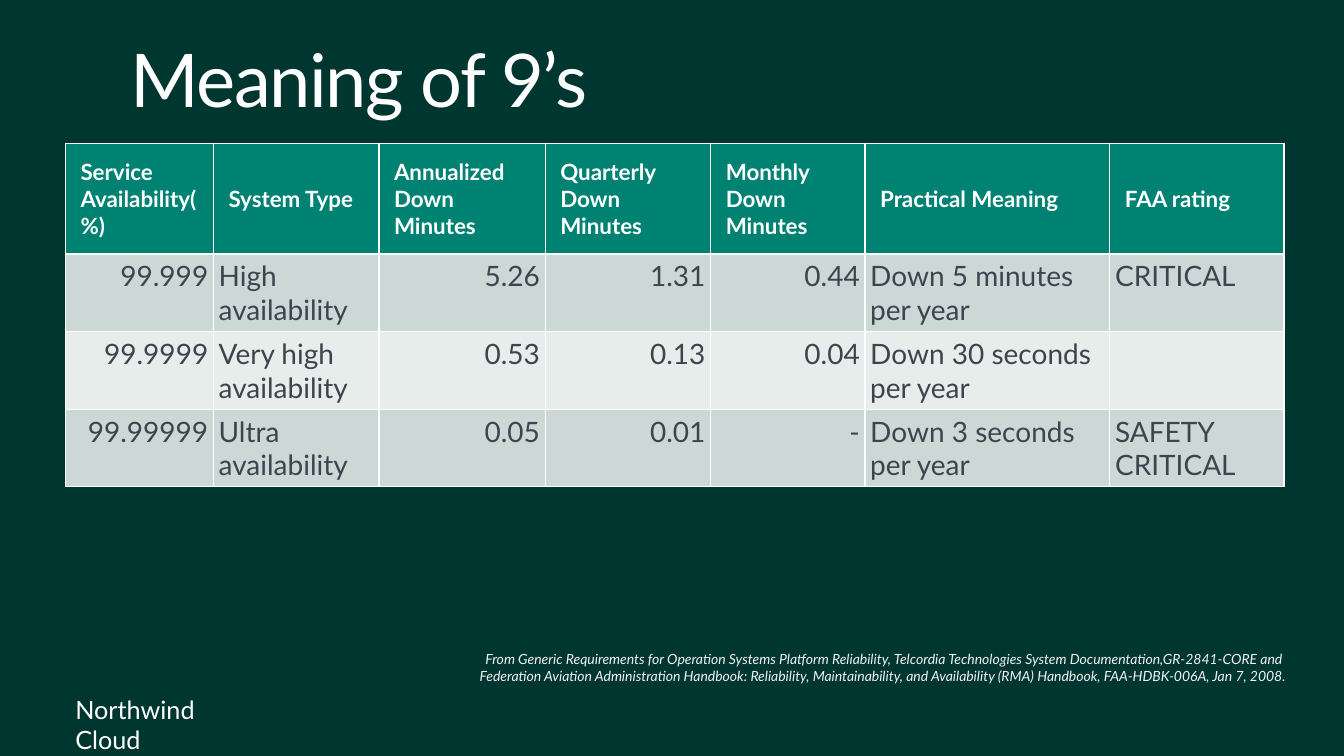
from pptx import Presentation
from pptx.dml.color import RGBColor
from pptx.enum.text import MSO_ANCHOR, PP_ALIGN
from pptx.util import Cm, Pt

HEADERS = ["Service Availability(%)", "System Type", "Annualized Down Minutes",
           "Quarterly Down Minutes", "Monthly Down Minutes",
           "Practical Meaning", "FAA rating"]
RATINGS = [
    ["99.999", "High availability", "5.26", "1.31", "0.44",
     "Down 5 minutes per year", "CRITICAL"],
    ["99.9999", "Very high availability", "0.53", "0.13", "0.04",
     "Down 30 seconds per year", ""],
    ["99.99999", "Ultra availability", "0.05", "0.01", "-",
     "Down 3 seconds per year", "SAFETY CRITICAL"],
]
COLUMN_WIDTHS = [3.73, 4.17, 4.19, 4.17, 3.89, 6.17, 4.39]
NUMBER_COLUMNS = {0, 2, 3, 4}
HEADER_HEIGHT, ROW_HEIGHT = 2.79, 1.94
SOURCES = [
    "From Generic Requirements for Operation Systems Platform Reliability, "
    "Telcordia Technologies System Documentation,GR-2841-CORE and ",
    "Federation Aviation Administration Handbook: Reliability, Maintainability, "
    "and Availability (RMA) Handbook, FAA-HDBK-006A, Jan 7, 2008.",
]


def color(hex_code):
    return RGBColor.from_string(hex_code)


def write(paragraph, text, size, ink="FFFFFF", bold=False, italic=False,
          align=PP_ALIGN.LEFT, line_spacing=None, tracking=None):
    paragraph.alignment = align
    if line_spacing:
        paragraph.line_spacing = line_spacing
    run = paragraph.add_run()
    run.text = text
    font = run.font
    font.name, font.size = "Lato", Pt(size)
    font.bold, font.italic = bold, italic
    font.color.rgb = color(ink)
    if tracking:
        run._r.get_or_add_rPr().set("spc", str(tracking))


class SlideBuilder:
    background = "003630"
    header_fill = "008272"
    band_fills = ["CCD8D5", "E7EDEB"]
    body_ink = "3C454F"

    def __init__(self, presentation):
        self.slide = presentation.slides.add_slide(presentation.slide_layouts[6])
        fill = self.slide.background.fill
        fill.solid()
        fill.fore_color.rgb = color(self.background)

    def text(self, lines, left, top, width, height, wrap=True, inset=0.25, **style):
        box = self.slide.shapes.add_textbox(Cm(left), Cm(top), Cm(width), Cm(height))
        frame = box.text_frame
        frame.word_wrap = wrap
        frame.margin_left = frame.margin_right = Cm(inset)
        for index, line in enumerate(lines):
            paragraph = frame.add_paragraph() if index else frame.paragraphs[0]
            write(paragraph, line, **style)

    def cell(self, cell, text, fill, inset, anchor, **style):
        cell.fill.solid()
        cell.fill.fore_color.rgb = color(fill)
        cell.margin_left = cell.margin_right = Cm(inset)
        cell.margin_top = cell.margin_bottom = Cm(inset)
        cell.vertical_anchor = anchor
        write(cell.text_frame.paragraphs[0], text, **style)

    def table(self, left, top, headers, rows):
        height = HEADER_HEIGHT + ROW_HEIGHT * len(rows)
        table = self.slide.shapes.add_table(
            len(rows) + 1, len(headers), Cm(left), Cm(top),
            Cm(sum(COLUMN_WIDTHS)), Cm(height)).table
        for index, width in enumerate(COLUMN_WIDTHS):
            table.columns[index].width = Cm(width)
            self.cell(table.cell(0, index), headers[index], self.header_fill,
                      0.38, MSO_ANCHOR.MIDDLE, size=16, bold=True)
        table.rows[0].height = Cm(HEADER_HEIGHT)
        for number, row in enumerate(rows, start=1):
            table.rows[number].height = Cm(ROW_HEIGHT)
            fill = self.band_fills[(number - 1) % 2]
            for index, text in enumerate(row):
                align = PP_ALIGN.RIGHT if index in NUMBER_COLUMNS else PP_ALIGN.LEFT
                self.cell(table.cell(number, index), text, fill, 0.13,
                          MSO_ANCHOR.TOP, size=20, ink=self.body_ink, align=align)


def main():
    presentation = Presentation()
    presentation.slide_width, presentation.slide_height = Cm(33.87), Cm(19.05)
    builder = SlideBuilder(presentation)

    # Title
    builder.text(["Meaning of 9’s"], 3.1, 0.97, 30.77, 2.67, inset=0.18,
                 size=52.9, line_spacing=0.9, tracking=-100)
    # Availability table
    builder.table(1.65, 3.61, HEADERS, RATINGS)
    # Footer label and sources
    builder.text(["Northwind Cloud"], 1.65, 17.37, 4.98, 1.02, wrap=False, size=18)
    builder.text(SOURCES, 2.77, 16.26, 29.87, 1.12, size=10, ink="F2F2F2",
                 italic=True, align=PP_ALIGN.RIGHT)

    presentation.save("out.pptx")


if __name__ == "__main__":
    main()
